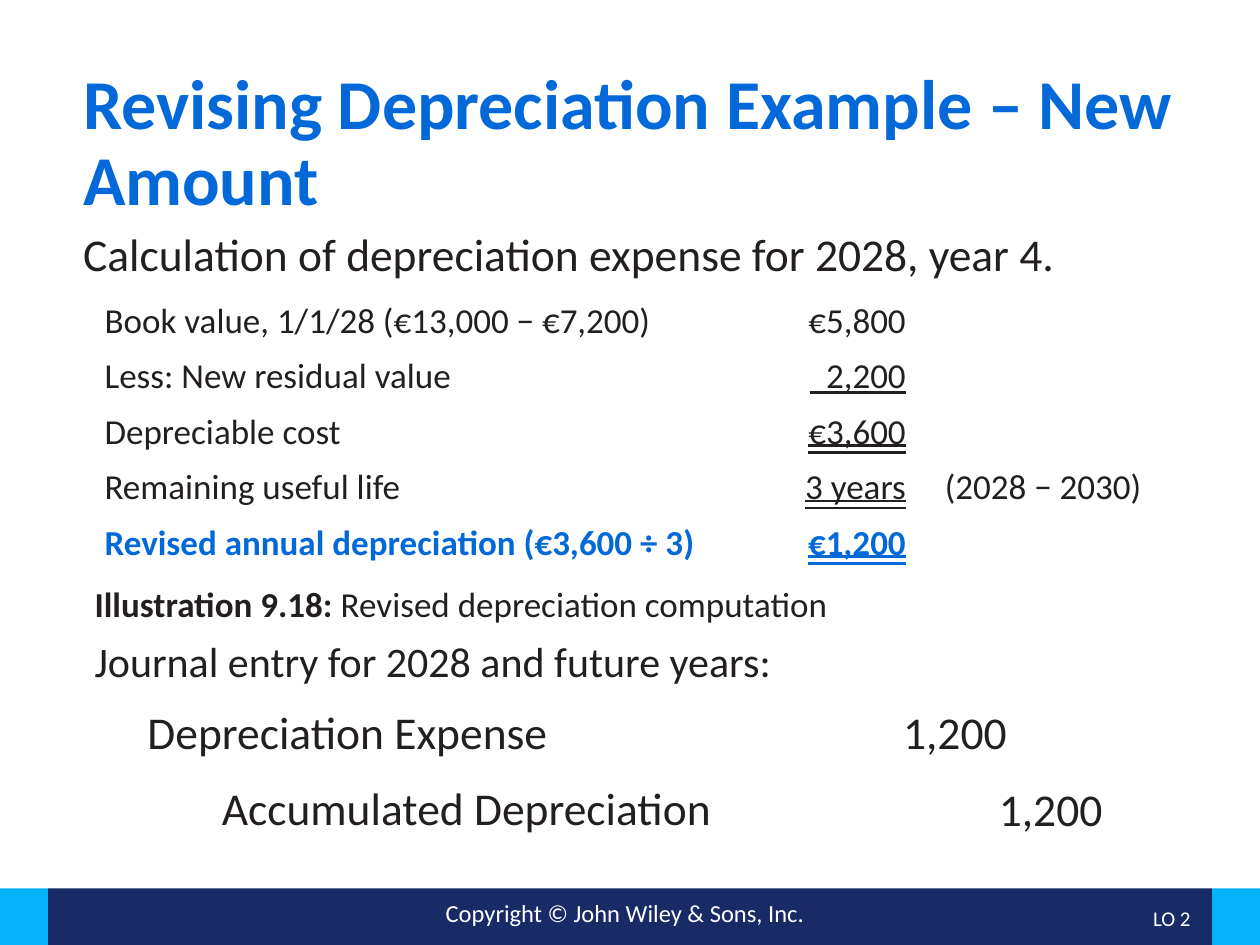
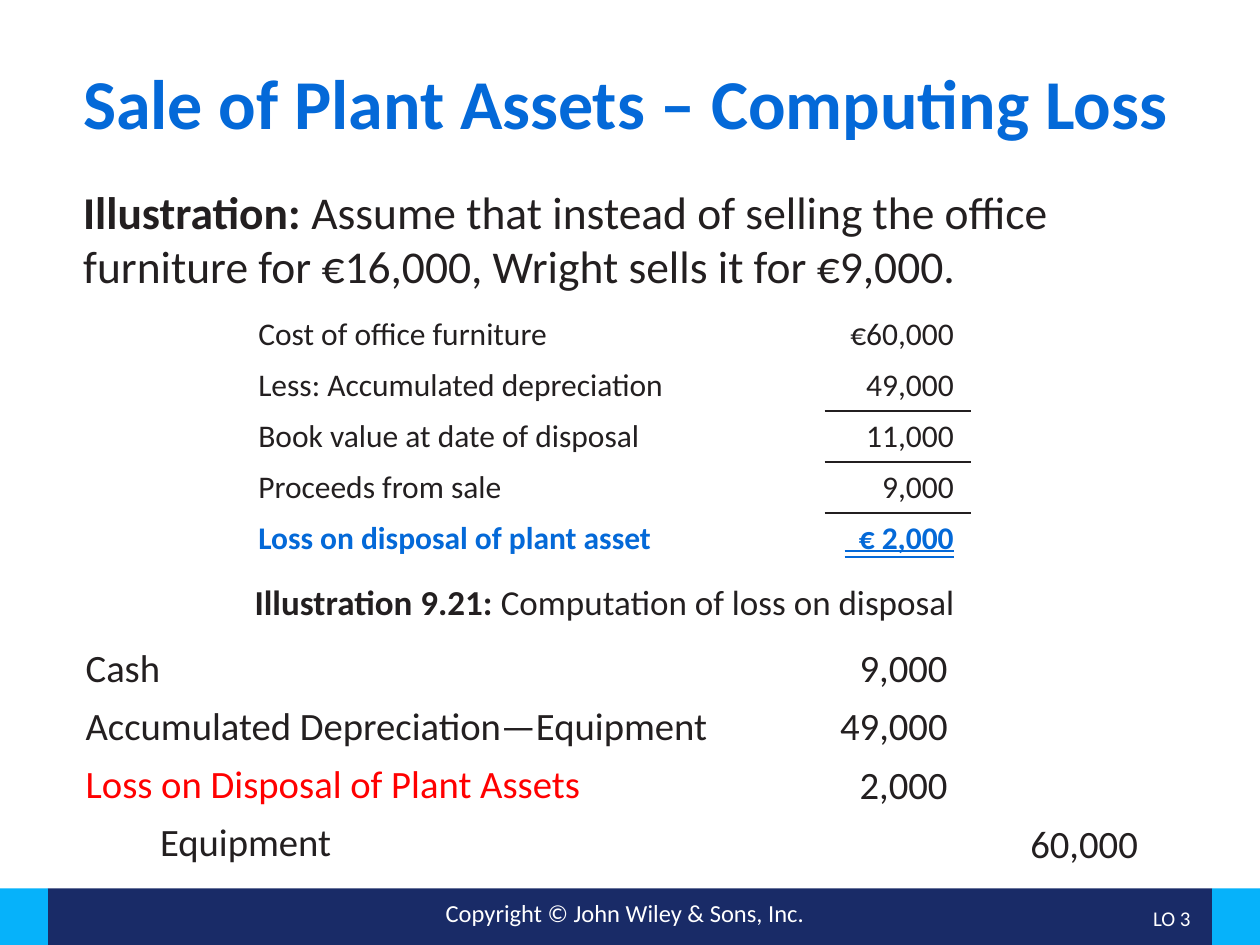
from dataclasses import dataclass
from lxml import etree
from pptx import Presentation
from pptx.dml.color import RGBColor
from pptx.enum.shapes import MSO_SHAPE
from pptx.enum.text import MSO_ANCHOR, MSO_AUTO_SIZE, MSO_UNDERLINE, PP_ALIGN
from pptx.oxml.ns import qn
from pptx.util import Inches, Pt

LEFT, CENTER, RIGHT = PP_ALIGN.LEFT, PP_ALIGN.CENTER, PP_ALIGN.RIGHT
TOP, MIDDLE = MSO_ANCHOR.TOP, MSO_ANCHOR.MIDDLE
SINGLE, DOUBLE = MSO_UNDERLINE.SINGLE_LINE, MSO_UNDERLINE.DOUBLE_LINE
COMPARISON_LAYOUT = 4  # a title and four text placeholders


@dataclass(frozen=True)
class Theme:
    font: str = "Calibri"
    ink: str = "231F20"
    accent: str = "0469D8"
    alert: str = "FF0000"
    navy: str = "192B67"
    sky: str = "06B2FA"
    white: str = "FFFFFF"
    title: float = 40
    lead: float = 26
    subhead: float = 24
    caption: float = 20
    footer: float = 14
    label: float = 12


THEME = Theme()
BOLD = {"bold": True}
RESULT = {"bold": True, "color": THEME.accent}

# Shared parts
COPYRIGHT = "Copyright © John Wiley & Sons, Inc."
COPYRIGHT_AT = (2.5, 7.08, 4.92, 0.34)
LABEL_AT = (8.73, 7.1, 0.82, 0.4)
BAND_TOP, BAND_HEIGHT, BAND_EDGE = 7.05, 0.45, 0.38
PAGE_WIDTH, PAGE_HEIGHT = 10, 7.5
TEXT_LEFT, TEXT_WIDTH = 0.56, 8.88
TEXT_INSET = 0.1
JOURNAL_INDENT, JOURNAL_GAP = 0.59, 12
AMOUNT_WIDTH, AMOUNT_HEIGHT = 1.3, 0.5
LINE_FACTOR = 1.22  # height of a single line in relation to the type size

# Content: table cells are (text, format); journal lines are (account, amount, side, color)
SLIDES = [
    {
        "title": "Revising Depreciation Example – New Amount",
        "title_height": 1.2,
        "intro": [("Calculation of depreciation expense for 2028, year 4.", {})],
        "intro_top": 1.74, "intro_height": 0.59,
        "table": {
            "at": (0.73, 2.33), "columns": (5.41, 1.15, 1.98), "row_height": 0.44,
            "size": 20, "margin": 0.1, "ruled_rows": (),
            "aligns": (LEFT, RIGHT, CENTER),
            "rows": [
                [("Book value, 1/1/28 (€13,000 − €7,200)", {}), ("€5,800", {})],
                [("Less: New residual value", {}), ("  2,200", {"underline": SINGLE})],
                [("Depreciable cost", {}), ("€3,600", {"underline": DOUBLE})],
                [("Remaining useful life", {}), ("3 years", {"underline": DOUBLE}),
                 ("(2028 − 2030)", {})],
                [("Revised annual depreciation (€3,600 ÷ 3)", RESULT),
                 ("€1,200", {**RESULT, "underline": DOUBLE})],
            ],
        },
        "caption": ("Illustration 9.18: ", "Revised depreciation computation"),
        "subhead": "Journal entry for 2028 and future years:",
        "caption_at": (0.65, 4.57, 8.79, 1.05),
        "journal": [
            ("Depreciation Expense", "1,200", "debit", THEME.ink),
            ("Accumulated Depreciation", "1,200", "credit", THEME.ink),
        ],
        "journal_at": (1.07, 5.54, 8.07, 1.2),
        "amount_edges": {"debit": 7.99, "credit": 8.75},
        "journal_size": 26, "journal_line": 1.0,
        "label": "LO 2",
    },
    {
        "title": "Sale of Plant Assets – Computing Loss",
        "title_height": 0.93,
        "intro": [
            ("Illustration: ", BOLD),
            ("Assume that instead of selling the office furniture for €16,000, "
             "Wright sells it for €9,000.", {}),
        ],
        "intro_top": 1.41, "intro_height": 1.02,
        "table": {
            "at": (1.92, 2.45), "columns": (4.63, 1.15), "row_height": 0.4,
            "size": 18, "margin": 0.13, "ruled_rows": (1, 2, 3),
            "aligns": (LEFT, RIGHT),
            "rows": [
                [("Cost of office furniture", {}), ("€60,000", {})],
                [("Less: Accumulated depreciation", {}), ("49,000", {})],
                [("Book value at date of disposal", {}), ("11,000", {})],
                [("Proceeds from sale", {}), ("9,000", {})],
                [("Loss on disposal of plant asset", RESULT),
                 ("  € 2,000", {**RESULT, "underline": DOUBLE})],
            ],
        },
        "caption": ("Illustration 9.21: ", "Computation of loss on disposal"),
        "subhead": None,
        "caption_at": (1.92, 4.56, 5.91, 0.51),
        "journal": [
            ("Cash", "9,000", "debit", THEME.ink),
            ("Accumulated Depreciation—Equipment", "49,000", "debit", THEME.ink),
            ("Loss on Disposal of Plant Assets", "2,000", "debit", THEME.alert),
            ("Equipment", "60,000", "credit", THEME.ink),
        ],
        "journal_at": (0.58, 5.13, 9.11, 1.81),
        "amount_edges": {"debit": 7.52, "credit": 9.03},
        "journal_size": 22.1, "journal_line": 0.8,
        "label": "LO 3",
    },
]


# Text helpers
def add_text(frame, text, size, color=THEME.ink, bold=False, underline=None,
             align=LEFT, before=0, line=1.0, indent=0):
    """Add a paragraph; text is a string or a list of (text, format) spans."""
    para = frame.paragraphs[0]
    is_first = not para.runs
    if not is_first:
        para = frame.add_paragraph()
    para.alignment, para.line_spacing = align, line
    para.space_before = Pt(0 if is_first else before)
    para.space_after = Pt(0)
    properties = para._p.get_or_add_pPr()
    properties.set("marL", "0")
    properties.set("indent", str(Inches(indent)))
    etree.SubElement(properties, qn("a:buNone"))
    for words, changes in [(text, {})] if isinstance(text, str) else text:
        span = para.add_run()
        span.text = words
        font = span.font
        font.name, font.size = THEME.font, Pt(size)
        font.bold = changes.get("bold", bold)
        font.underline = underline
        font.color.rgb = RGBColor.from_string(color)


def place(box, at, anchor=TOP):
    """Move a text shape and return its prepared text frame."""
    box.left, box.top, box.width, box.height = map(Inches, at)
    frame = box.text_frame
    frame.word_wrap = True
    frame.auto_size = MSO_AUTO_SIZE.NONE
    frame.vertical_anchor = anchor
    return frame


def add_box(page, at):
    return place(page.shapes.add_textbox(*map(Inches, at)), at)


# Page parts
def add_footer(page):
    inner_width = PAGE_WIDTH - 2 * BAND_EDGE
    bands = [
        (BAND_EDGE, inner_width, THEME.navy),
        (0, BAND_EDGE, THEME.sky),
        (PAGE_WIDTH - BAND_EDGE, BAND_EDGE, THEME.sky),
    ]
    for order, (left, width, color) in enumerate(bands):
        band = page.shapes.add_shape(MSO_SHAPE.RECTANGLE, *map(
            Inches, (left, BAND_TOP, width, BAND_HEIGHT)))
        band.shadow.inherit = False
        band.fill.solid()
        band.fill.fore_color.rgb = RGBColor.from_string(color)
        band.line.fill.background()
        page.shapes.element.insert(2 + order, band._element)  # behind the label
    add_text(add_box(page, COPYRIGHT_AT), COPYRIGHT, THEME.footer,
             color=THEME.white, align=CENTER)


def add_border(cell, side):
    properties = cell._tc.get_or_add_tcPr()
    border = etree.Element(qn(f"a:{side}"), w=str(Pt(1)))
    fill = etree.SubElement(border, qn("a:solidFill"))
    etree.SubElement(fill, qn("a:srgbClr"), val=THEME.ink)
    properties.insert(0, border)


def add_computation(page, content):
    rows, columns = content["rows"], content["columns"]
    size = (sum(columns), content["row_height"] * len(rows))
    table = page.shapes.add_table(
        len(rows), len(columns), *map(Inches, content["at"] + size)).table
    table.first_row = table.horz_banding = False
    for column, width in zip(table.columns, columns):
        column.width = Inches(width)
    for row_index, row in enumerate(rows):
        padded = row + [("", {})] * (len(columns) - len(row))
        for column_index, (text, style) in enumerate(padded):
            cell = table.cell(row_index, column_index)
            cell.fill.background()
            cell.vertical_anchor = MIDDLE
            cell.margin_left = cell.margin_right = Inches(content["margin"])
            add_text(cell.text_frame, text, content["size"],
                     align=content["aligns"][column_index], **style)
    # Bottom-up, so each cell lists its top border before its bottom one
    for row_index in reversed(content["ruled_rows"]):
        add_border(table.cell(row_index, 1), "lnB")
        add_border(table.cell(row_index + 1, 1), "lnT")


def add_journal(page, box, content):
    """Accounts fill the placeholder; each amount sits on its account's line."""
    size, line = content["journal_size"], content["journal_line"]
    pitch = (size * LINE_FACTOR * line + JOURNAL_GAP) / 72
    top = content["journal_at"][1]
    accounts = place(box, content["journal_at"])
    for order, (account, amount, side, color) in enumerate(content["journal"]):
        add_text(accounts, account, size, color=color, before=JOURNAL_GAP, line=line,
                 indent=JOURNAL_INDENT if side == "credit" else 0)
        left = content["amount_edges"][side] + TEXT_INSET - AMOUNT_WIDTH
        amount_at = (left, top + order * pitch, AMOUNT_WIDTH, AMOUNT_HEIGHT)
        add_text(add_box(page, amount_at), amount, size, align=RIGHT, line=line)


def build_page(deck, content):
    page = deck.slides.add_slide(deck.slide_layouts[COMPARISON_LAYOUT])
    title, intro, caption, journal, label = page.placeholders
    add_footer(page)

    title_at = (TEXT_LEFT, 0.5, TEXT_WIDTH, content["title_height"])
    add_text(place(title, title_at), content["title"], THEME.title,
             color=THEME.accent, bold=True, line=0.9)
    intro_at = (TEXT_LEFT, content["intro_top"], TEXT_WIDTH, content["intro_height"])
    add_text(place(intro, intro_at), content["intro"], THEME.lead)

    add_computation(page, content["table"])
    name, description = content["caption"]
    frame = place(caption, content["caption_at"])
    add_text(frame, [(name, BOLD), (description, {})], THEME.caption)
    if content["subhead"]:
        add_text(frame, content["subhead"], THEME.subhead, before=6.2)

    add_journal(page, journal, content)
    add_text(place(label, LABEL_AT, MIDDLE), content["label"], THEME.label,
             color=THEME.white, align=RIGHT, line=0.9)


def main():
    deck = Presentation()
    deck.slide_width, deck.slide_height = Inches(PAGE_WIDTH), Inches(PAGE_HEIGHT)
    for content in SLIDES:
        build_page(deck, content)
    deck.save("out.pptx")


if __name__ == "__main__":
    main()
